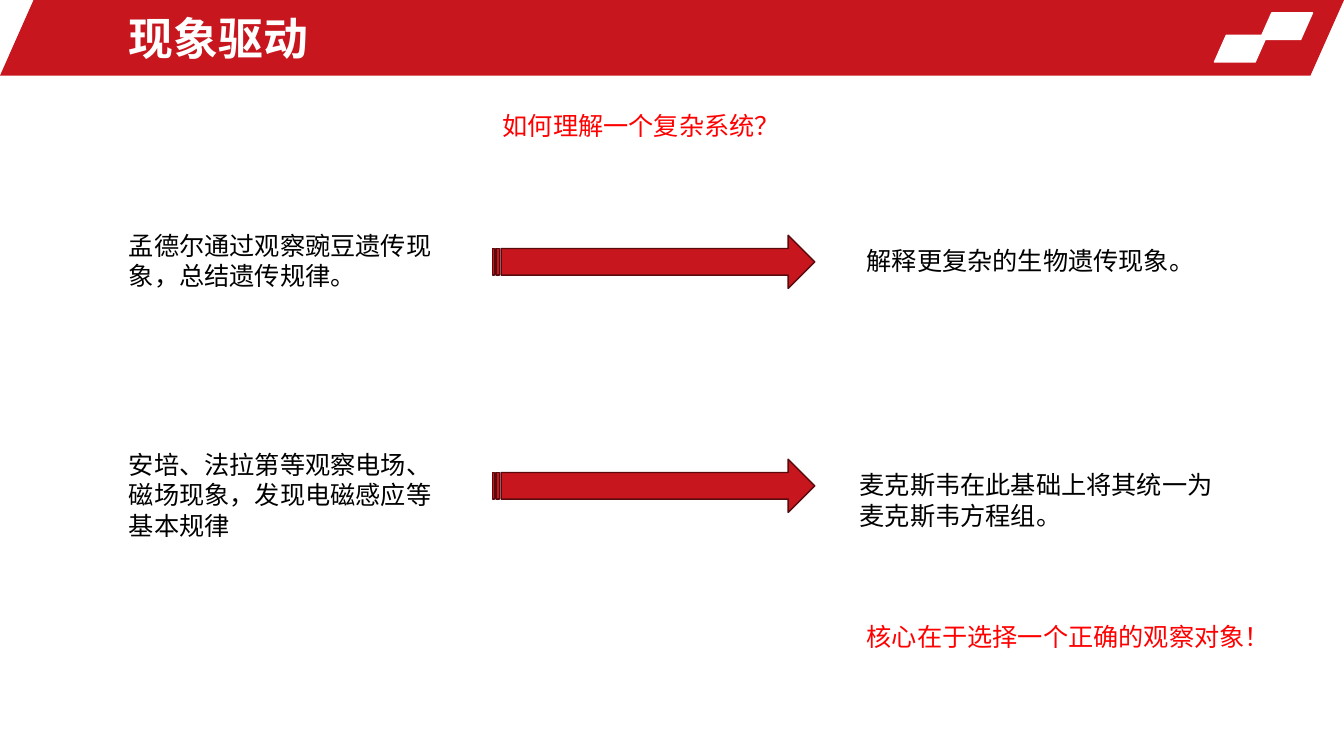
"""Build the slide on phenomenon-driven understanding of complex systems."""
from pptx import Presentation
from pptx.dml.color import RGBColor
from pptx.enum.shapes import MSO_SHAPE
from pptx.enum.text import MSO_ANCHOR
from pptx.util import Pt

SLANT = MSO_SHAPE.PARALLELOGRAM
ARROW = MSO_SHAPE.STRIPED_RIGHT_ARROW
TOP, MIDDLE = MSO_ANCHOR.TOP, MSO_ANCHOR.MIDDLE
CRIMSON = RGBColor(0xC8, 0x16, 0x1E)
MAROON = RGBColor(0x58, 0x0A, 0x0D)
RED = RGBColor(0xFF, 0x00, 0x00)
WHITE = RGBColor(0xFF, 0xFF, 0xFF)
BLACK = RGBColor(0x00, 0x00, 0x00)

deck = Presentation()
deck.slide_width, deck.slide_height = Pt(960), Pt(540)
slide = deck.slides.add_slide(deck.slide_layouts[6])


def add_text(text, left, top, width, height, size=18, color=BLACK, bold=False, anchor=TOP):
    box = slide.shapes.add_textbox(Pt(left), Pt(top), Pt(width), Pt(height))
    frame = box.text_frame
    frame.word_wrap = True
    frame.vertical_anchor = anchor
    frame.text = text
    font = frame.paragraphs[0].runs[0].font
    font.name, font.size, font.bold = "Arial", Pt(size), bold
    font.color.rgb = color


def add_block(kind, left, top, width, height, fill, line=None):
    block = slide.shapes.add_shape(kind, Pt(left), Pt(top), Pt(width), Pt(height))
    block.shadow.inherit = False
    block.fill.solid()
    block.fill.fore_color.rgb = fill
    if line is None:
        block.line.fill.background()
    else:
        block.line.color.rgb = line
        block.line.width = Pt(1)
    if kind == SLANT:
        block.adjustments[0] = 0.444


add_block(SLANT, 0, 0, 960, 54, CRIMSON)
for left, top in [(900, 9.2), (867.5, 25.3)]:
    add_block(SLANT, left, top, 37.5, 19, WHITE, WHITE)
add_text("现象驱动", 85, 3.6, 557, 46.8, size=32, color=WHITE, bold=True, anchor=MIDDLE)
add_text("如何理解一个复杂系统？", 352, 75, 283, 29, color=RED)

cases = [
    (168, "孟德尔通过观察豌豆遗传现象，总结遗传规律。", 161, 51,
     "解释更复杂的生物遗传现象。", 612, 29),
    (328, "安培、法拉第等观察电场、磁场现象，发现电磁感应等基本规律", 317.5, 73,
     "麦克斯韦在此基础上将其统一为麦克斯韦方程组。", 607, 51),
]
for top, cause, rise, tall, result, left, deep in cases:
    add_text(cause, 85, rise, 237.6, tall)
    add_block(ARROW, 352, top, 230, 38, CRIMSON, MAROON)
    add_text(result, left, top + 4, 268, deep)

add_text("核心在于选择一个正确的观察对象！", 612, 440.6, 287.3, 29, color=RED)

deck.save("out.pptx")
